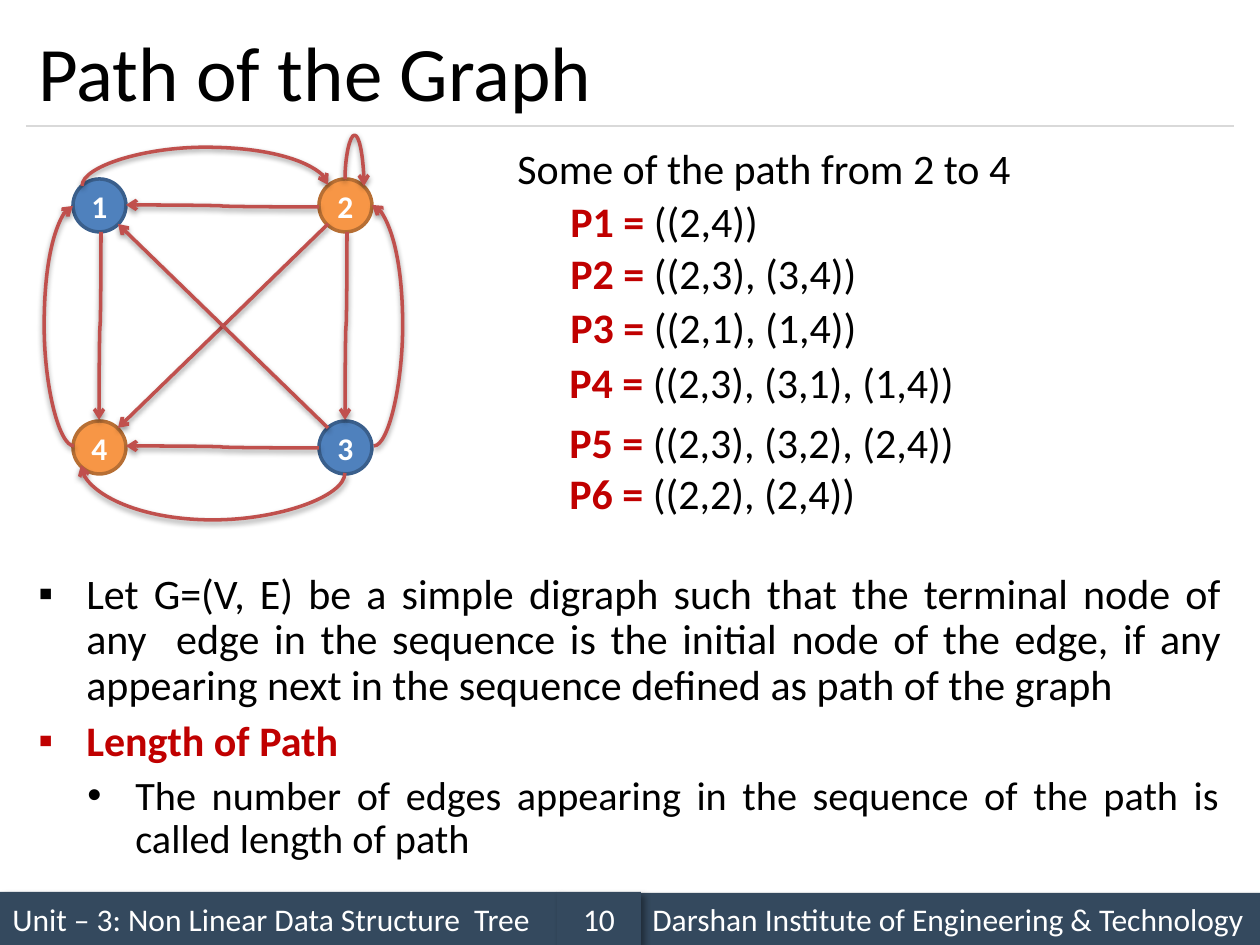
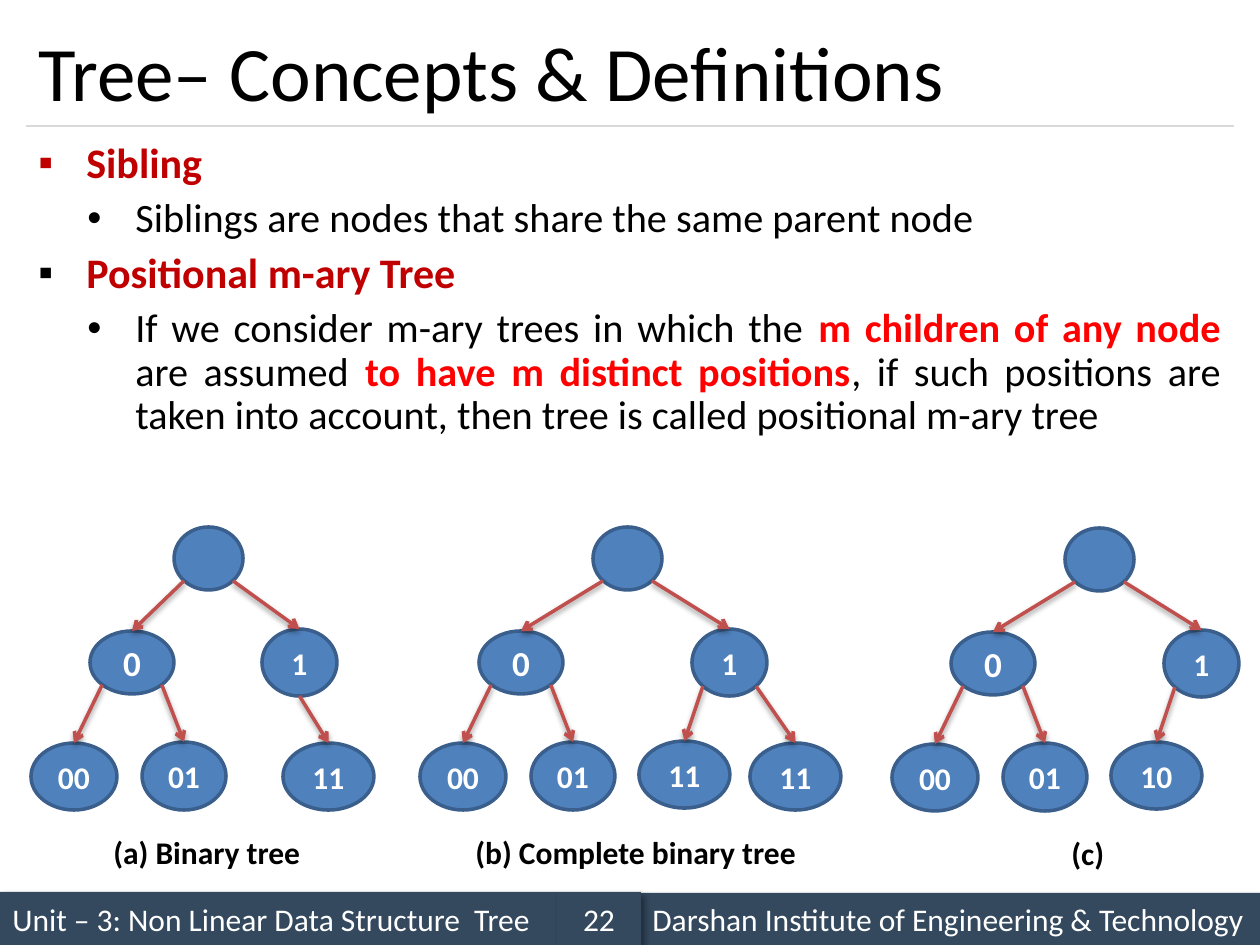
from lxml.etree import SubElement
from pptx import Presentation
from pptx.dml.color import RGBColor
from pptx.enum.shapes import MSO_CONNECTOR, MSO_SHAPE
from pptx.enum.text import MSO_ANCHOR, MSO_AUTO_SIZE, PP_ALIGN
from pptx.oxml.ns import qn
from pptx.util import Emu, Pt

BLACK = RGBColor(0x00, 0x00, 0x00)
WHITE = RGBColor(0xFF, 0xFF, 0xFF)
NAVY = RGBColor(0x34, 0x49, 0x5E)
RULE_GRAY = RGBColor(0xD9, 0xD9, 0xD9)
BLUE = RGBColor(0x4F, 0x81, 0xBD)
BLUE_EDGE = RGBColor(0x3A, 0x5F, 0x8C)
ORANGE = RGBColor(0xF7, 0x96, 0x46)
ORANGE_EDGE = RGBColor(0xB7, 0x6F, 0x34)
ARROW_RED = RGBColor(0xC0, 0x50, 0x4D)
DARK_RED = RGBColor(0xC0, 0x00, 0x00)
RED = RGBColor(0xFF, 0x00, 0x00)

FONT = "Calibri"
EMU_PER_PX = 914400 / 126
BAND_SHADOW = (50800, 38100, 2700000, 40000)
ARROW_SHADOW = (40000, 20000, 5400000, 38000)


def px(length):
    return Emu(round(length * EMU_PER_PX))


def set_shadow(shape, shadow=None):
    properties = shape._element.spPr
    effects = properties.find(qn("a:effectLst"))
    if effects is None:
        effects = SubElement(properties, qn("a:effectLst"))
    if shadow:
        blur, distance, direction, alpha = shadow
        outer = SubElement(effects, qn("a:outerShdw"), blurRad=str(blur),
                           dist=str(distance), dir=str(direction), algn="t", rotWithShape="0")
        color = SubElement(outer, qn("a:srgbClr"), val=str(BLACK))
        SubElement(color, qn("a:alpha"), val=str(alpha))


def write(paragraph, parts, size, align=PP_ALIGN.LEFT):
    paragraph.alignment = align
    paragraph.font.name = FONT
    paragraph.font.size = Pt(size)
    for text, color, bold in parts:
        run = paragraph.add_run()
        run.text = text
        font = paragraph.font if len(parts) == 1 else run.font
        font.color.rgb = color
        font.bold = bold


def add_text(shapes, box, parts, size, wrap=True):
    text_box = shapes.add_textbox(*map(px, box))
    text_box.text_frame.word_wrap = wrap
    write(text_box.text_frame.paragraphs[0], parts, size)


def add_band(slide, box, text, align=PP_ALIGN.LEFT):
    band = slide.shapes.add_shape(MSO_SHAPE.RECTANGLE, *map(px, box))
    band.shadow.inherit = False
    set_shadow(band, BAND_SHADOW)
    band.fill.solid()
    band.fill.fore_color.rgb = NAVY
    band.line.fill.background()
    band.text_frame.vertical_anchor = MSO_ANCHOR.MIDDLE
    write(band.text_frame.paragraphs[0], [(text, WHITE, False)], 18, align)


def add_frame(presentation, title, number):
    slide = presentation.slides.add_slide(presentation.slide_layouts[5])
    add_band(slide, (0, 892, 557, 53), "Unit – 3: Non Linear Data Structure  Tree")
    rule = slide.shapes.add_connector(MSO_CONNECTOR.STRAIGHT, px(26), px(126), px(1234), px(126))
    rule.line.color.rgb = RULE_GRAY
    rule.line.width = Pt(0.75)
    set_shadow(rule)
    add_band(slide, (640, 893, 620, 52), "Darshan Institute of Engineering & Technology")
    add_band(slide, (557, 892, 84, 53), number, PP_ALIGN.CENTER)
    heading = slide.shapes.title
    heading.left, heading.top, heading.width, heading.height = map(px, (26, 15, 1208, 111))
    frame = heading.text_frame
    frame.auto_size = MSO_AUTO_SIZE.NONE
    frame.vertical_anchor = MSO_ANCHOR.MIDDLE
    write(frame.paragraphs[0], [(title, BLACK, False)], 44)
    return slide


def add_points(slide, box, points):
    body = slide.shapes.add_textbox(*map(px, box)).text_frame
    body.word_wrap = True
    for index, (level, bullet_color, parts) in enumerate(points):
        paragraph = body.add_paragraph() if index else body.paragraphs[0]
        paragraph.level = level
        paragraph.line_spacing = 0.9
        if index:
            paragraph.space_before = Pt(6)
        properties = paragraph._p.get_or_add_pPr()
        properties.set("marL", str(px((48, 97)[level])))
        properties.set("indent", str(px(-48)))
        color = SubElement(properties, qn("a:buClr"))
        SubElement(color, qn("a:srgbClr"), val=str(bullet_color))
        SubElement(properties, qn("a:buFont"), typeface="Arial")
        SubElement(properties, qn("a:buChar"), char="▪•"[level])
        write(paragraph, parts, (24, 23)[level], PP_ALIGN.JUSTIFY)


def add_node(shapes, box, label, fill=BLUE, edge=BLUE_EDGE, size=18):
    node = shapes.add_shape(MSO_SHAPE.OVAL, *map(px, box))
    node.shadow.inherit = False
    node.fill.solid()
    node.fill.fore_color.rgb = fill
    node.line.color.rgb = edge
    node.line.width = Pt(2)
    if label:
        frame = node.text_frame
        frame.margin_left = frame.margin_right = frame.margin_top = frame.margin_bottom = 0
        frame.word_wrap = False
        frame.vertical_anchor = MSO_ANCHOR.MIDDLE
        write(frame.paragraphs[0], [(label, WHITE, True)], size, PP_ALIGN.CENTER)
    return node


def add_arrow(shapes, start, end, kind=MSO_CONNECTOR.STRAIGHT):
    arrow = shapes.add_connector(kind, *map(px, (*start, *end)))
    arrow.line.color.rgb = ARROW_RED
    arrow.line.width = Pt(2)
    SubElement(arrow.line._get_or_add_ln(), qn("a:tailEnd"), type="arrow")
    set_shadow(arrow, ARROW_SHADOW)
    return arrow


def add_curve(shapes, start, end, bend, vertical):
    axis = 1 if vertical else 0
    ratio = (bend - start[axis]) / (end[axis] - start[axis])
    if vertical:
        center_x, center_y = (start[0] + end[0]) / 2, (start[1] + end[1]) / 2
        start, end = [(center_x + y - center_y, center_y - x + center_x) for x, y in (start, end)]
    curve = add_arrow(shapes, start, end, MSO_CONNECTOR.CURVE)
    properties = curve._element.spPr
    if vertical:
        properties.find(qn("a:xfrm")).set("rot", "5400000")
    geometry = properties.find(qn("a:prstGeom"))
    guides = geometry.find(qn("a:avLst"))
    if guides is None:
        guides = SubElement(geometry, qn("a:avLst"))
    SubElement(guides, qn("a:gd"), name="adj1", fmla=f"val {round(ratio * 100000)}")


def add_digraph(slide, left, top):
    def at(point):
        return left + point[0], top + point[1]

    for label, x, y, fill, edge in (
        ("1", 33, 49, BLUE, BLUE_EDGE),
        ("4", 33, 291, ORANGE, ORANGE_EDGE),
        ("2", 279, 49, ORANGE, ORANGE_EDGE),
        ("3", 279, 291, BLUE, BLUE_EDGE),
    ):
        add_node(slide.shapes, (*at((x, y)), 53, 53), label, fill, edge)
    for start, end, bend in (
        ((42, 56), (288, 55), 17),
        ((305, 343), (41, 335), 390),
        ((61, 102), (59, 290), 196),
        ((307, 102), (305, 290), 196),
        ((305, 49), (324, 56), 5),
    ):
        add_curve(slide.shapes, at(start), at(end), top + bend, True)
    for start, end, bend in (
        ((34, 316), (33, 76), 4),
        ((334, 316), (332, 75), 363),
        ((279, 77), (86, 75), 182),
        ((279, 318), (86, 316), 182),
    ):
        add_curve(slide.shapes, at(start), at(end), left + bend, False)
    for start, end in (((288, 94), (78, 298)), ((288, 298), (78, 94))):
        add_arrow(slide.shapes, at(start), at(end))


def add_path_list(slide, left, top):
    add_text(slide.shapes, (left, top, 649, 63),
             [("Some of the path from 2 to 4", BLACK, False)], 24)
    for number, (x, y, edges) in enumerate((
        (53, 53, "((2,4))"),
        (53, 105, "((2,3), (3,4))"),
        (53, 159, "((2,1), (1,4))"),
        (52, 214, "((2,3), (3,1), (1,4))"),
        (52, 274, "((2,3), (3,2), (2,4))"),
        (52, 325, "((2,2), (2,4))"),
    ), 1):
        add_text(slide.shapes, (left + x, top + y, 649, 63),
                 [(f"P{number} =", DARK_RED, True), (f" {edges}", BLACK, False)], 24)


def add_tree(slide, left, top, root_x, right_x, right_leaves, caption, caption_box):
    shapes = slide.shapes.add_group_shape().shapes
    branches = [
        ("", (root_x, 0, 69, 63), None, 0),
        ("0", (59, 104, 84, 63), 0, -1),
        ("1", (right_x, 102, 75, 67), 0, 1),
        ("00", (0, 216, 86, 67), 1, -1),
        ("01", (111, 215, 84, 68), 1, 1),
    ]
    branches += [(label, (x, y, 91, 67), 2, side) for label, x, y, side in right_leaves]
    boxes = [(left + x, top + y, w, h) for _, (x, y, w, h), _, _ in branches]
    nodes = [add_node(shapes, box, branch[0], size=20 if branch[0] == "0" else 18)
             for box, branch in zip(boxes, branches)]
    for node, box, (_, _, parent, side) in zip(nodes, boxes, branches):
        if parent is None:
            continue
        x, y, w, h = boxes[parent]
        drop = 0.71 if side else 1
        start = (x + w / 2 * (1 + side * 0.71), y + h / 2 * (1 + drop))
        arrow = add_arrow(shapes, start, (box[0] + box[2] / 2, box[1]))
        arrow.end_connect(node, 0)
    caption_x, caption_width = caption_box
    add_text(shapes, (left + caption_x, top + 300, caption_width, 50),
             [(caption, BLACK, True)], 18, wrap=False)


def build_path_slide(presentation):
    slide = add_frame(presentation, "Path of the Graph", "10")
    add_points(slide, (26, 567, 1208, 305), [
        (0, BLACK, [("Let G=(V, E) be a simple digraph such that the terminal node of any  edge "
                     "in the sequence is the initial node of the edge, if any appearing next in "
                     "the sequence defined as path of the graph", BLACK, False)]),
        (0, DARK_RED, [("Length of Path", DARK_RED, True)]),
        (1, BLACK, [("The number of edges appearing in the sequence of the path is called "
                     "length of path", BLACK, False)]),
    ])
    add_digraph(slide, 40, 130)
    add_path_list(slide, 505, 136)


def build_tree_slide(presentation):
    slide = add_frame(presentation, "Tree– Concepts & Definitions", "22")
    add_points(slide, (26, 136, 1208, 347), [
        (0, DARK_RED, [("Sibling", DARK_RED, True)]),
        (1, BLACK, [("Siblings are nodes that share the same parent node", BLACK, False)]),
        (0, BLACK, [("Positional m-ary Tree", DARK_RED, True)]),
        (1, BLACK, [
            ("If we consider m-ary trees in which the ", BLACK, False),
            ("m children of any node ", RED, True),
            ("are assumed ", BLACK, False),
            ("to have m distinct positions", RED, True),
            (", if such positions are taken into account, then tree is called positional "
             "m-ary tree", BLACK, False),
        ]),
    ])
    add_tree(slide, 31, 527, 143, 231, [("11", 252, 216, 0)], "(a) Binary tree", (70, 214))
    add_tree(slide, 420, 527, 173, 272, [("11", 219, 214, -1), ("11", 330, 216, 1)],
             "(b) Complete binary tree", (43, 349))
    add_tree(slide, 892, 528, 173, 272, [("10", 219, 214, -1)], "(c)", (167, 58))


def main():
    presentation = Presentation()
    presentation.slide_width, presentation.slide_height = px(1260), px(945)
    build_path_slide(presentation)
    build_tree_slide(presentation)
    presentation.save("out.pptx")


if __name__ == "__main__":
    main()
